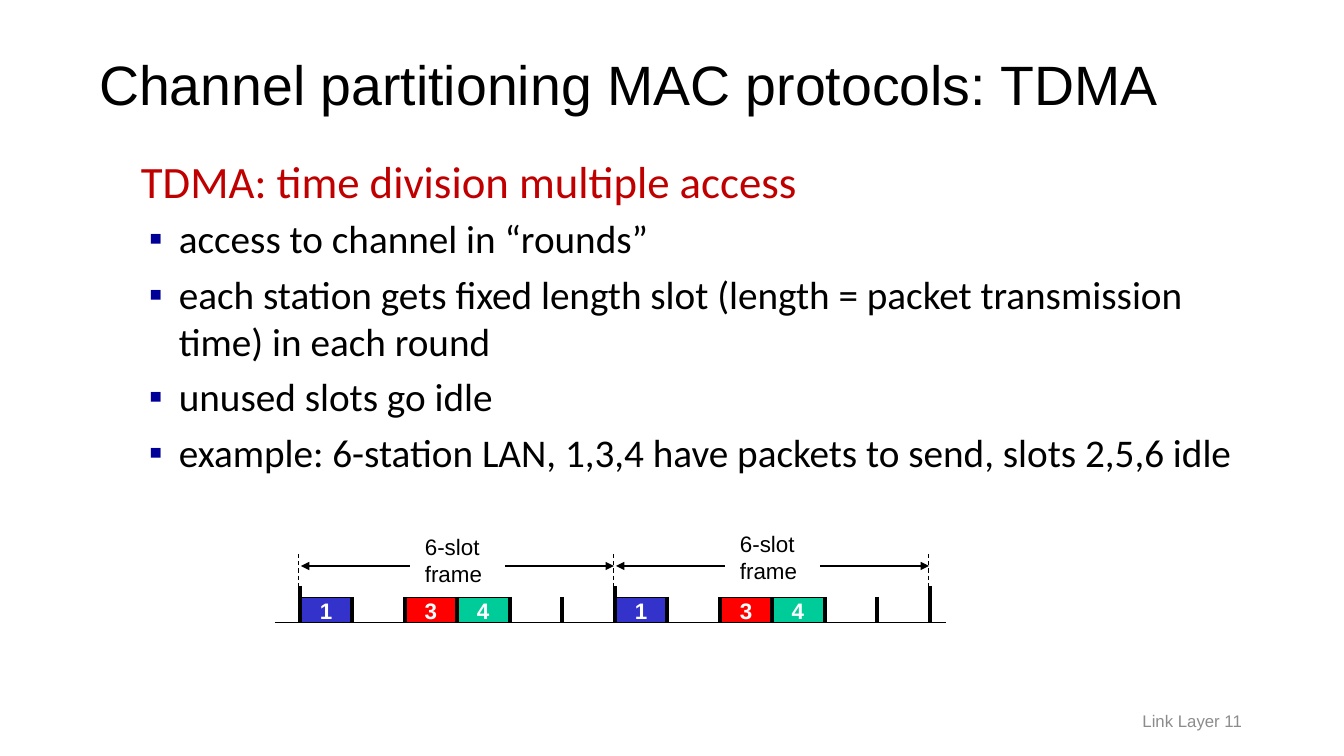
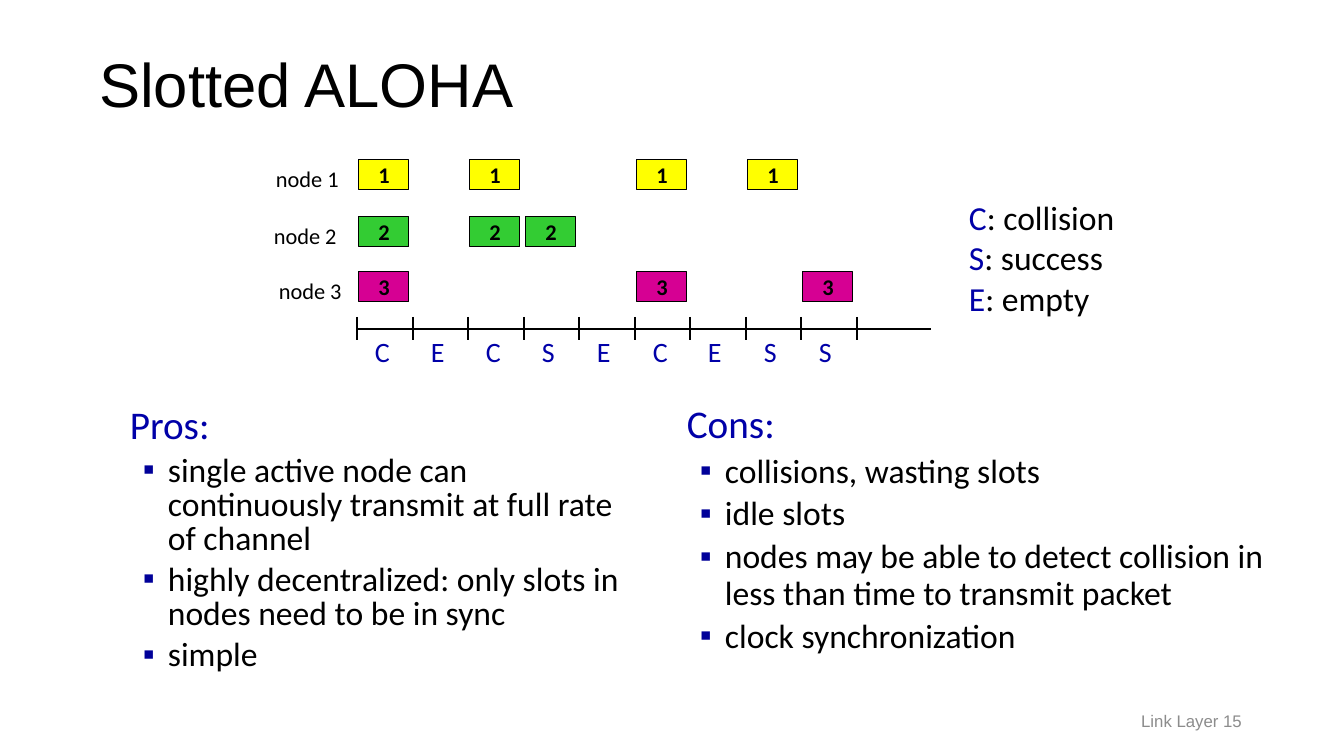
"""Build two link layer slides: TDMA and Slotted ALOHA."""
from lxml.etree import SubElement
from pptx import Presentation
from pptx.dml.color import RGBColor
from pptx.enum.dml import MSO_LINE
from pptx.enum.shapes import MSO_CONNECTOR, MSO_SHAPE
from pptx.enum.text import MSO_ANCHOR, MSO_AUTO_SIZE, PP_ALIGN
from pptx.oxml.ns import qn
from pptx.util import Pt

PX = 914400 / 100.8
rgb = RGBColor.from_string
BLACK, WHITE, GREY = "000000", "FFFFFF", "8C8C8C"
RED, BLUE, BULLET = "C00000", "0000A8", "000099"


def text(s, box, lines, size, color=BLACK, font="Calibri", bold=False, fill=None, wrap=False):
    """Add a text box, or a filled box with centred text."""
    x, y, w, h = [round(v * PX) for v in box]
    if fill:
        sp = s.shapes.add_shape(MSO_SHAPE.RECTANGLE, x, y, w, h)
        sp.shadow.inherit = False
        sp.fill.solid()
        sp.fill.fore_color.rgb = rgb(fill)
        sp.line.color.rgb = rgb(BLACK)
        sp.line.width = Pt(0.75)
    else:
        sp = s.shapes.add_textbox(x, y, w, h)
    tf = sp.text_frame
    tf.word_wrap = wrap
    if fill:
        tf.margin_left = tf.margin_right = tf.margin_top = tf.margin_bottom = 0
        tf.vertical_anchor = MSO_ANCHOR.MIDDLE
    elif not wrap:
        tf.auto_size = MSO_AUTO_SIZE.SHAPE_TO_FIT_TEXT
    tf.text = "\n".join(lines)
    for p in tf.paragraphs:
        p.alignment = PP_ALIGN.CENTER if fill else PP_ALIGN.LEFT
        f = p.runs[0].font
        f.name, f.size, f.bold = font, Pt(size), bold
        f.color.rgb = rgb(color)
    return tf


def line(s, x1, y1, x2, y2, width=0.75, dash=False, arrow=False):
    """Add a black line, dashed or with an arrowhead at its end."""
    ends = [round(v * PX) for v in (x1, y1, x2, y2)]
    c = s.shapes.add_connector(MSO_CONNECTOR.STRAIGHT, *ends)
    c.line.color.rgb = rgb(BLACK)
    c.line.width = Pt(width)
    if dash:
        c.line.dash_style = MSO_LINE.DASH
    if arrow:
        SubElement(c.line._get_or_add_ln(), qn("a:tailEnd"), type="triangle")
    SubElement(c._element.spPr, qn("a:effectLst"))


prs = Presentation()
prs.slide_width, prs.slide_height = round(1344 * PX), round(756 * PX)

slides = []
for title, size, number in [
    ("Channel partitioning MAC protocols: TDMA", 39.6, 11),
    ("Slotted ALOHA", 44, 15),
]:
    s = prs.slides.add_slide(prs.slide_layouts[5])
    slides.append(s)
    sp = s.shapes.title
    sp.left, sp.top, sp.width, sp.height = [round(v * PX) for v in (89, 38, 1159, 99)]
    tf = sp.text_frame
    tf.text = title
    tf.word_wrap = True
    tf.auto_size = MSO_AUTO_SIZE.NONE
    tf.vertical_anchor = MSO_ANCHOR.MIDDLE
    p = tf.paragraphs[0]
    p.alignment, p.line_spacing = PP_ALIGN.LEFT, 0.9
    f = p.runs[0].font
    f.name, f.size = "Arial", Pt(size)
    f.color.rgb = rgb(BLACK)
    footer = text(s, (950, 701, 302, 40), [f"Link Layer {number}"], 12, GREY, "Arial", wrap=True)
    footer.vertical_anchor = MSO_ANCHOR.MIDDLE
    footer.paragraphs[0].alignment = PP_ALIGN.RIGHT
tdma, aloha = slides

bodies = [
    (tdma, (131, 161, 1128, 323), RED, (32, 28), (0.75, 1.0), (6.4, 6), 30, [
        "TDMA: time division multiple access",
        "access to channel in “rounds”",
        "each station gets fixed length slot (length = packet transmission time) in each round",
        "unused slots go idle",
        "example: 6-station LAN, 1,3,4 have packets to send, slots 2,5,6 idle",
    ]),
    (aloha, (120, 403, 534, 353), BLUE, (28, 24), (0.85, 0.85), (5.6, 4.8), 25, [
        "Pros:",
        "single active node can continuously transmit at full rate of channel",
        "highly decentralized: only slots in nodes need to be in sync",
        "simple",
    ]),
    (aloha, (677, 400, 615, 302), BLUE, (28, 24), (0.9, 0.9), (5.6, 4.8), 25, [
        "Cons:",
        "collisions, wasting slots",
        "idle slots",
        "nodes may be able to detect collision in less than time to transmit packet",
        "clock synchronization",
    ]),
]
for s, box, head_color, sizes, spacings, gaps, hang, lines in bodies:
    tf = text(s, box, lines, sizes[1], wrap=True)
    for i, p in enumerate(tf.paragraphs):
        level = min(i, 1)
        p.line_spacing, p.space_before = spacings[level], Pt(gaps[level])
        pPr = p._p.get_or_add_pPr()
        pPr.set("marL", str(round(38 * PX)))
        pPr.set("indent", str(-round((hang if level else 38) * PX)))
        if level:
            SubElement(SubElement(pPr, qn("a:buClr")), qn("a:srgbClr"), val=BULLET)
            SubElement(pPr, qn("a:buFont"), typeface="Arial")
            SubElement(pPr, qn("a:buChar"), char="▪")
        else:
            SubElement(pPr, qn("a:buNone"))
            p.runs[0].font.size = Pt(sizes[0])
            p.runs[0].font.color.rgb = rgb(head_color)

AXIS, FRAME, START = 623, 315, 300
line(tdma, 275, AXIS, 946, AXIS)
for frame_x, label_y in [(START, 528), (START + FRAME, 525)]:
    for station, fill in [(1, "3333CC"), (3, "FF0000"), (4, "00CC99")]:
        slot_x = frame_x + (station - 1) * FRAME // 6
        text(tdma, (slot_x, 598, 52, 25), [str(station)], 16, WHITE, "Arial", True, fill)
    text(tdma, (frame_x + 115, label_y, 78, 65), ["6-slot", "frame"], 16, font="Arial")
    line(tdma, frame_x + 110, 566, frame_x + 1, 566, arrow=True)
    line(tdma, frame_x + 205, 566, frame_x + 314, 566, arrow=True)
for i in range(13):
    x = START + i * FRAME // 6
    if i % 6:
        line(tdma, x, 597, x, AXIS, 2.25)
    else:
        line(tdma, x, 586, x, AXIS, 3 if i else 2.25)
        line(tdma, x - 1, 554, x - 1, 587, dash=True)

ticks = [round(357 + i * 500 / 9) for i in range(10)]
nodes = [
    (266, 160, "FFFF00", (0, 2, 5, 7)),
    (264, 217, "33CC33", (0, 2, 3)),
    (269, 272, "D60093", (0, 5, 8)),
]
for node, (label_x, y, fill, sent) in enumerate(nodes, 1):
    text(aloha, (label_x, y, 84, 37), [f"node {node}"], 16)
    for slot in sent:
        text(aloha, (ticks[slot] + 2, y, 50, 30), [str(node)], 16, bold=True, fill=fill)
line(aloha, 357, 329, 931, 329)
for x in ticks:
    line(aloha, x, 317, x, 340, 1.5)
for x, outcome in zip(ticks, "CECSECESS"):
    text(aloha, (x + 8, 330, 35, 44), [outcome], 20, BLUE)

legend = text(aloha, (959, 192, 167, 132), "CSE", 24, BLUE)
for p, meaning in zip(legend.paragraphs, ["collision", "success", "empty"]):
    r = p.add_run()
    r.text = f": {meaning}"
    r.font.name, r.font.size = "Calibri", Pt(24)
    r.font.color.rgb = rgb(BLACK)

prs.save("out.pptx")
